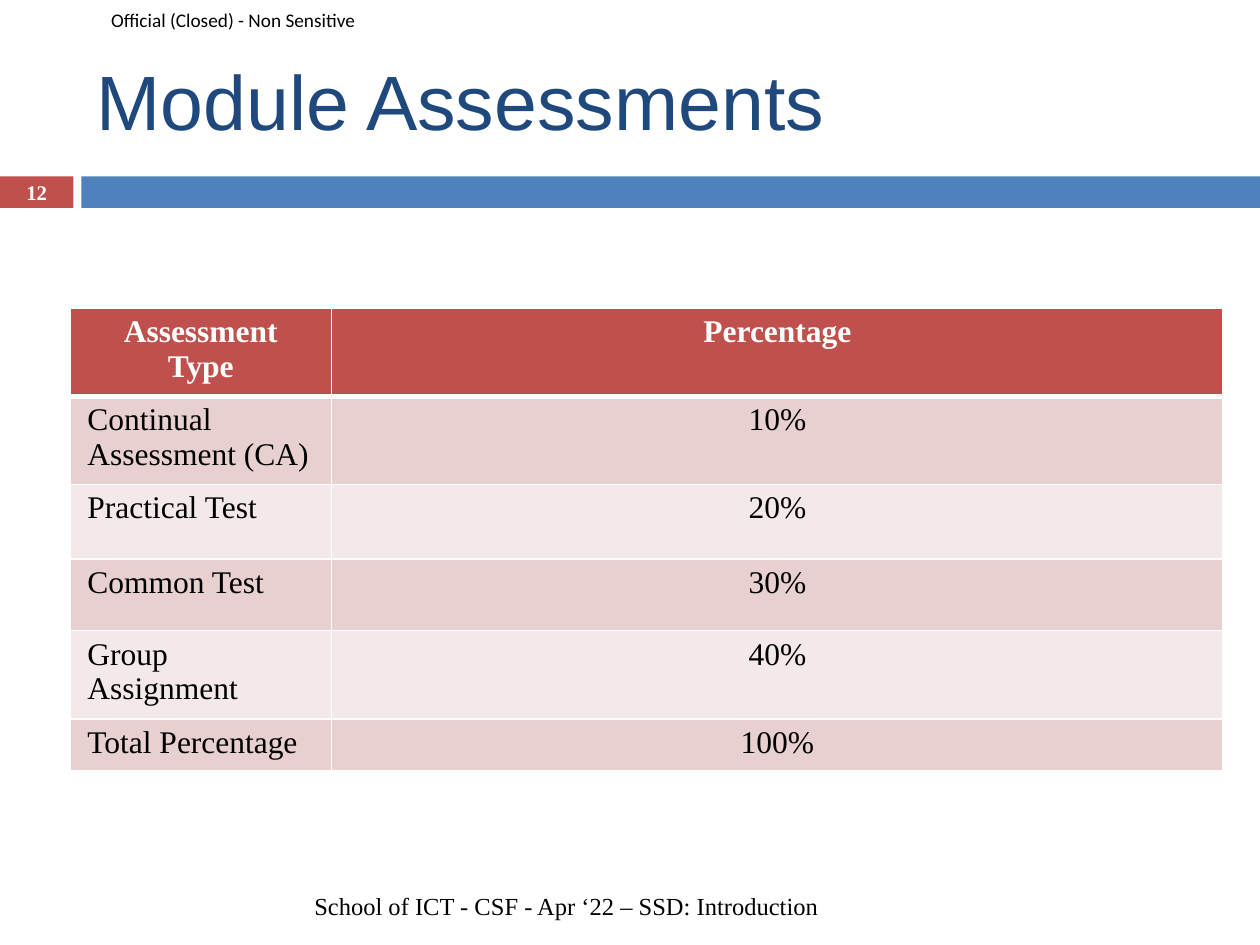
from lxml import etree
from pptx import Presentation
from pptx import util as u
from pptx.dml.color import RGBColor
from pptx.enum import shapes, text
from pptx.oxml import ns

Pt = u.Pt
HUES = {"red": "C0504D", "blue": "4F81BD", "navy": "1F497D", "white": "FFFFFF",
        "black": "000000", "dark": "E8D0D0", "light": "F4E9E9"}
SERIF = "Times New Roman"
TITLE = "Module Assessments"
MARK = "Official (Closed) - Non Sensitive"
FOOT = "School of ICT - CSF - Apr ‘22 – SSD: Introduction"
PAGE = "12"
ROWS = [("Assessment Type", "Percentage"),
        ("Continual Assessment (CA)", "10%"),
        ("Practical Test", "20%"),
        ("Common Test", "30%"),
        ("Group Assignment", "40%"),
        ("Total Percentage", "100%")]
COLS = (149.5, 509.5)
TALL = (47, 47, 42.5, 41, 47, 29.5)
BARS = [(0, 42, "red"), (46.5, 673.5, "blue")]
LEFT, MID, RIGHT = (text.PP_ALIGN.LEFT, text.PP_ALIGN.CENTER,
                    text.PP_ALIGN.RIGHT)


def color(name):
    """Return the colour of a given name."""
    return RGBColor.from_string(HUES[name])


def write(frame, words, size=18, font=SERIF, hue="black", bold=False,
          align=LEFT, anchor=text.MSO_ANCHOR.MIDDLE):
    """Put formatted text in a text frame."""
    frame.word_wrap = True
    frame.vertical_anchor = anchor
    para = frame.paragraphs[0]
    para.alignment = align
    run = para.add_run()
    run.text = words
    run.font.size, run.font.name, run.font.bold = Pt(size), font, bold
    run.font.color.rgb = color(hue)


def label(slide, box, words, **form):
    """Add a text box and return its frame."""
    frame = slide.shapes.add_textbox(*map(Pt, box)).text_frame
    write(frame, words, **form)
    return frame


def bar(slide, left, wide, hue):
    """Add one part of the band below the title."""
    rect = slide.shapes.add_shape(shapes.MSO_SHAPE.RECTANGLE,
                                  Pt(left), Pt(100.8), Pt(wide), Pt(18))
    rect.shadow.inherit = False
    rect.fill.solid()
    rect.fill.fore_color.rgb = color(hue)
    rect.line.fill.background()


def edge(cell, top, base):
    """Draw white borders round a cell."""
    props = cell._tc.get_or_add_tcPr()
    sides = (("lnL", 1), ("lnR", 1), ("lnT", top), ("lnB", base))
    for spot, (side, wide) in enumerate(sides):
        line = etree.Element(ns.qn("a:" + side), w=str(Pt(wide)))
        fill = etree.SubElement(line, ns.qn("a:solidFill"))
        etree.SubElement(fill, ns.qn("a:srgbClr"), val=HUES["white"])
        props.insert(spot, line)


def grid(slide):
    """Add the table of assessments."""
    table = slide.shapes.add_table(len(ROWS), len(COLS), Pt(40), Pt(176),
                                   Pt(sum(COLS)), Pt(sum(TALL))).table
    for col, wide in zip(table.columns, COLS):
        col.width = Pt(wide)
    for r, (row, tall) in enumerate(zip(ROWS, TALL)):
        table.rows[r].height = Pt(tall)
        head = r == 0
        for c, words in enumerate(row):
            cell = table.cell(r, c)
            cell.margin_left = cell.margin_right = Pt(10)
            cell.margin_top = cell.margin_bottom = Pt(3.6)
            cell.vertical_anchor = text.MSO_ANCHOR.TOP
            cell.fill.solid()
            cell.fill.fore_color.rgb = color(
                "red" if head else "dark" if r % 2 else "light")
            edge(cell, 3 if r == 1 else 1, 3 if head else 1)
            write(cell.text_frame, words, bold=head,
                  hue="white" if head else "black",
                  align=MID if head or c else LEFT,
                  anchor=text.MSO_ANCHOR.TOP)


def main():
    """Build and save the slide."""
    deck = Presentation()
    deck.slide_width, deck.slide_height = Pt(720), Pt(540)
    slide = deck.slides.add_slide(deck.slide_layouts[5])
    for part in BARS:
        bar(slide, *part)
    mark = label(slide, (0, 0, 217, 22.5), MARK, size=11, font="Calibri")
    mark.margin_left = Pt(63.5)
    mark.margin_right = mark.margin_top = mark.margin_bottom = 0
    title = slide.shapes.title
    title.left, title.top, title.width, title.height = map(
        Pt, (48, 18, 642, 78))
    write(title.text_frame, TITLE, size=44, font="Arial", hue="navy")
    label(slide, (48, 503, 427, 29), FOOT, size=14, align=RIGHT)
    label(slide, (0, 100, 42, 19.5), PAGE, size=11.9, hue="white",
          bold=True, align=MID)
    grid(slide)
    deck.save("out.pptx")


main()
